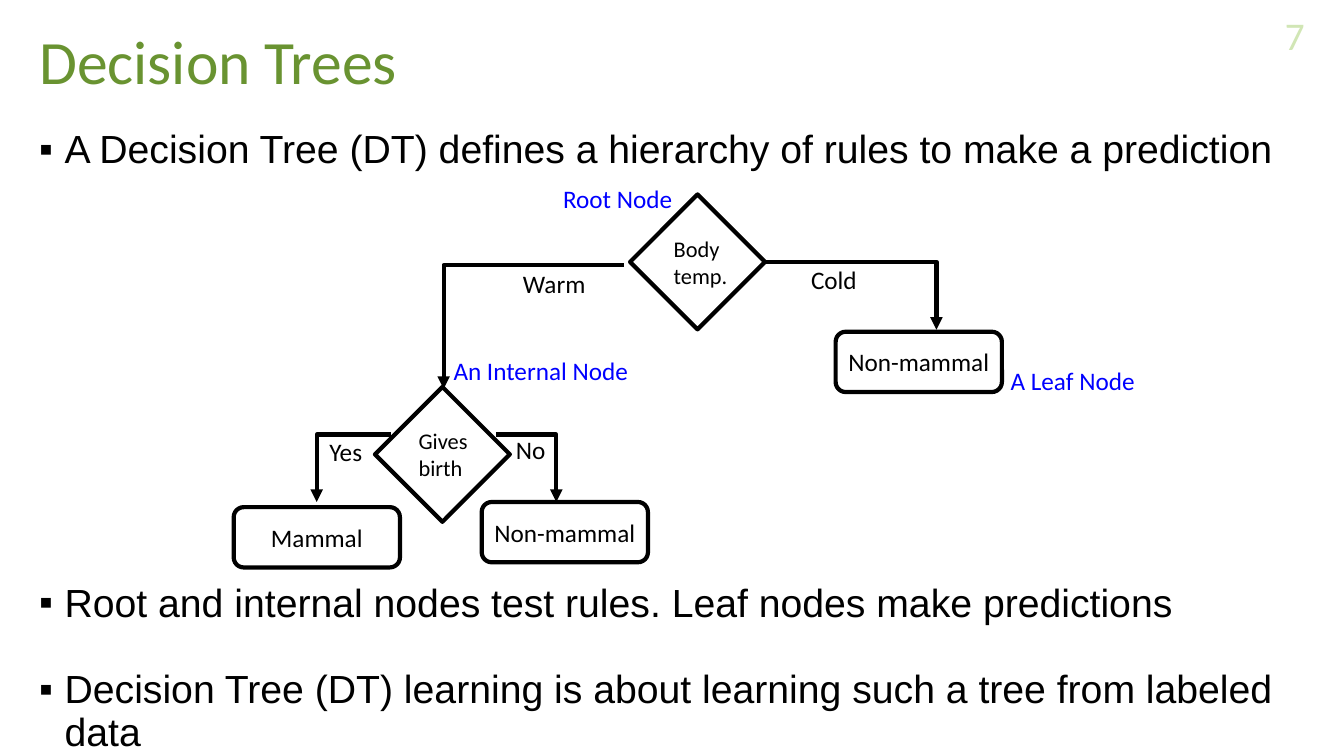
from lxml.etree import SubElement
from pptx import Presentation
from pptx.dml.color import RGBColor as Rgb
from pptx.enum.shapes import MSO_CONNECTOR as Link, MSO_SHAPE as Kind
from pptx.enum.text import MSO_ANCHOR as Anchor, PP_ALIGN as Align
from pptx.oxml.ns import qn
from pptx.util import Cm, Pt

HUES = {"ink": "000000", "paper": "FFFFFF", "title": "699331",
        "page": "D1E6B5", "note": "0000FF"}
RULES = [
    "Root and internal nodes test rules. Leaf nodes make predictions",
    "Decision Tree (DT) learning is about learning such a tree from labeled data",
]


def hue(name):
    return Rgb.from_string(HUES[name])


def apply(item, values):
    for key, value in values.items():
        setattr(item, key, value)


def write(shape, lines, size, tint="ink", face="Calibri", frame=None, para=None):
    text = shape.text_frame
    apply(text, frame or {})
    for i, line in enumerate(lines):
        part = text.paragraphs[0] if i == 0 else text.add_paragraph()
        apply(part, {"alignment": Align.LEFT, **(para or {})})
        run = part.add_run()
        run.text = line
        apply(run.font, {"name": face, "size": Pt(size)})
        run.font.color.rgb = hue(tint)
    return text


def add_text(slide, box, lines, size, **style):
    shape = slide.shapes.add_textbox(*map(Cm, box))
    return write(shape, lines, size, **style)


def add_rules(slide, top, height, lines):
    text = add_text(slide, (0.74, top, 32.61, height), lines, 28, face="Arial",
                    frame={"word_wrap": True}, para={"line_spacing": 0.9})
    for i, part in enumerate(text.paragraphs):
        if i:
            part.space_before = Pt(31.5)
        props = part._p.get_or_add_pPr()
        props.set("marL", str(Cm(0.64)))
        props.set("indent", str(-Cm(0.64)))
        SubElement(props, qn("a:buFont")).set("typeface", "Arial")
        SubElement(props, qn("a:buChar")).set("char", "▪")


def add_node(slide, kind, box, lines, size, align):
    node = slide.shapes.add_shape(kind, *map(Cm, box))
    node.shadow.inherit = False
    node.fill.solid()
    node.fill.fore_color.rgb = hue("paper")
    node.line.color.rgb = hue("ink")
    node.line.width = Pt(3)
    write(node, lines, size, para={"alignment": align},
          frame={"word_wrap": False, "vertical_anchor": Anchor.MIDDLE})


def add_test(slide, left, top, lines):
    add_node(slide, Kind.DIAMOND, (left, top, 3.4, 3.4), lines, 16, Align.LEFT)


def add_leaf(slide, left, top, label):
    add_node(slide, Kind.ROUNDED_RECTANGLE, (left, top, 4.19, 1.52),
             [label], 18, Align.CENTER)


def add_branch(slide, x1, y1, x2, y2):
    ends = (x1, y1, x2, y2) if x2 > x1 else (x2, y2, x1, y1)
    branch = slide.shapes.add_connector(Link.ELBOW, *map(Cm, ends))
    props = branch._element.spPr
    props.find(qn("a:prstGeom")).set("prst", "bentConnector2")
    if x2 < x1:
        props.find(qn("a:xfrm")).set("rot", "10800000")
    branch.line.color.rgb = hue("ink")
    branch.line.width = Pt(3)
    SubElement(branch.line._get_or_add_ln(), qn("a:tailEnd")).set("type", "triangle")
    SubElement(props, qn("a:effectLst"))


def main():
    deck = Presentation()
    apply(deck, {"slide_width": Cm(33.87), "slide_height": Cm(19.05)})
    slide = deck.slides.add_slide(deck.slide_layouts[6])
    middle = {"word_wrap": True, "vertical_anchor": Anchor.MIDDLE}

    add_text(slide, (0.74, 0.48, 32.61, 2.29), ["Decision Trees"], 44,
             tint="title", frame=middle, para={"line_spacing": 0.9})
    add_text(slide, (31.45, 0.38, 1.68, 1.02), ["7"], 28, tint="page",
             frame=middle, para={"alignment": Align.RIGHT})
    add_rules(slide, 3.15, 1.3,
              ["A Decision Tree (DT) defines a hierarchy of rules to make a prediction"])
    add_rules(slide, 14.58, 4.4, RULES)

    for ends in [(19.28, 6.6, 23.6, 8.31), (15.72, 6.68, 11.18, 9.8),
                 (9.86, 10.95, 7.98, 12.65), (12.5, 10.95, 14.02, 12.65)]:
        add_branch(slide, *ends)

    add_test(slide, 15.88, 4.9, ["Body", "temp."])
    add_test(slide, 9.45, 9.75, ["Gives", "birth"])

    for left, top, label in [(21.06, 8.36, "Non-mammal"),
                             (12.14, 12.65, "Non-mammal"),
                             (5.89, 12.78, "Mammal")]:
        add_leaf(slide, left, top, label)

    for left, top, width, label, tint in [
        (20.19, 6.53, 1.68, "Cold", "ink"),
        (12.93, 6.63, 2.11, "Warm", "ink"),
        (8.05, 10.87, 1.35, "Yes", "ink"),
        (12.75, 10.82, 1.27, "No", "ink"),
        (13.94, 4.5, 3.3, "Root Node", "note"),
        (11.18, 8.84, 4.95, "An Internal Node", "note"),
        (25.22, 9.07, 3.68, "A Leaf Node", "note"),
    ]:
        add_text(slide, (left, top, width, 1.02), [label], 18, tint=tint,
                 frame={"word_wrap": False})

    deck.save("out.pptx")


if __name__ == "__main__":
    main()
